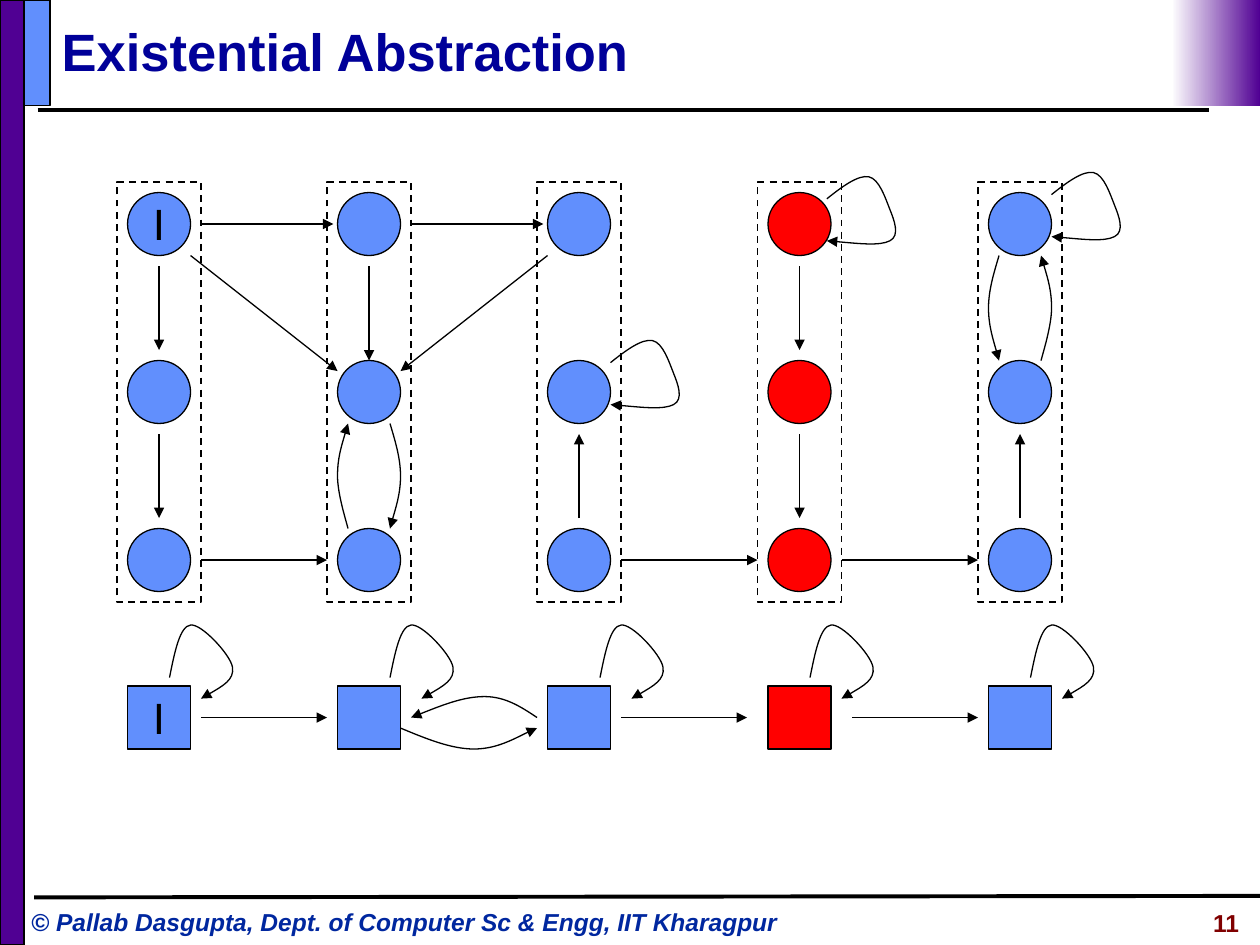
from dataclasses import dataclass

from lxml.etree import SubElement
from pptx import Presentation
from pptx.dml.color import RGBColor as Rgb
from pptx.enum.dml import MSO_LINE_DASH_STYLE as Dash
from pptx.enum.shapes import MSO_CONNECTOR as Connector, MSO_SHAPE as Preset
from pptx.enum.text import MSO_ANCHOR as Anchor, PP_ALIGN as Align
from pptx.oxml.ns import qn
from pptx.util import Cm, Pt


@dataclass(frozen=True)
class Theme:
    """Colours, fonts, type sizes and line widths of the slide."""
    black: Rgb = Rgb.from_string("000000")
    white: Rgb = Rgb.from_string("FFFFFF")
    purple: Rgb = Rgb.from_string("500093")
    blue: Rgb = Rgb.from_string("618FFD")
    red: Rgb = Rgb.from_string("FF0000")
    title: Rgb = Rgb.from_string("000099")
    footer: Rgb = Rgb.from_string("00279F")
    number: Rgb = Rgb.from_string("800000")
    font: str = "Arial"
    state_font: str = "Lato"
    title_size: Pt = Pt(30)
    state_size: Pt = Pt(24)
    footer_size: Pt = Pt(14)
    thin: Pt = Pt(0.75)
    edge: Pt = Pt(1)
    rule: Pt = Pt(2.25)


THEME = Theme()
UNIT = Cm(2.54) / 12
COLUMNS = (4, 24, 44, 65, 86)
ROWS = (4, 20, 36)
ABSTRACT_ROW = 51
BAD_COLUMN = 3
RADIUS = 3

STRAIGHT_ARROWS = (
    (8, 4, 20.6, 4), (28, 4, 40.6, 4), (7, 7, 21, 18), (41, 7, 27, 18),
    (4, 8, 4, 16), (4, 24, 4, 32), (24, 8, 24, 17),
    (44, 32, 44, 24), (65, 8, 65, 16), (65, 24, 65, 32), (86, 32, 86, 24),
    (8, 36, 20, 36), (48, 36, 61, 36), (69, 36, 82, 36),
    (8, 51, 20, 51), (48, 51, 60, 51), (70, 51, 82, 51),
)
BEND_RIGHT = ((0.5, 1.7), (1, 3.3), (1, 5), (1, 6.7), (0.2, 9.2), (0, 10))
BEND_LEFT = tuple((-x, y) for x, y in BEND_RIGHT)
STATE_LOOP = ((1.5, -1.2), (3, -2.3), (4, -2.1), (5, -1.9), (5.6, 0), (6, 1),
              (6.4, 2), (7, 3.5), (6, 4), (5, 4.5), (2.5, 4.2), (0, 4))
ABSTRACT_LOOP = ((0.5, -2.5), (1, -4.9), (2, -5), (3, -5.2), (5.8, -2.2),
                 (6, -1), (6.2, 0.2), (4.6, 1.1), (3, 2))
SWAP_BELOW = ((2.4, 1), (4.8, 2), (7, 2), (9.2, 2), (12, 0.4), (13, 0))
SWAP_ABOVE = ((2.5, -1), (5, -2), (7, -2), (9, -2), (10.5, -1), (12, 0))
CURVED_ARROWS = (
    (26, 23, BEND_RIGHT, "tailEnd"), (22, 23, BEND_LEFT, "headEnd"),
    (84, 7, BEND_LEFT, "tailEnd"), (88, 7, BEND_RIGHT, "headEnd"),
    (47, 17.2, STATE_LOOP, "tailEnd"), (67.6, 1.6, STATE_LOOP, "tailEnd"),
    (89, 1.2, STATE_LOOP, "tailEnd"),
    (27, 52, SWAP_BELOW, "tailEnd"), (28, 51, SWAP_ABOVE, "headEnd"),
    *((x, 47.2, ABSTRACT_LOOP, "tailEnd") for x in (5, 26, 46, 66, 87)),
)


def style_line(line, width, arrow=None):
    """Set a black line of the given width, with an arrowhead at one end if named."""
    line.color.rgb = THEME.black
    line.width = width
    if arrow:
        SubElement(line._get_or_add_ln(), qn(f"a:{arrow}"), type="triangle")


def add_box(page, preset, left, top, width, height, fill=None, edge=THEME.edge):
    """Add a preset shape with a black edge and an optional solid fill."""
    box = page.shapes.add_shape(preset, int(left), int(top), int(width), int(height))
    box.shadow.inherit = False
    if fill is None:
        box.fill.background()
    else:
        box.fill.solid()
        box.fill.fore_color.rgb = fill
    style_line(box.line, edge)
    return box


def add_straight(page, ends, width, arrow=None):
    """Add a straight connector between two points."""
    line = page.shapes.add_connector(Connector.STRAIGHT, *map(int, ends))
    SubElement(line._element.spPr, qn("a:effectLst"))
    style_line(line.line, width, arrow)


def add_curve(page, points, arrow):
    """Add an open curve through a start point and triples of Bezier points."""
    builder = page.shapes.build_freeform(*points[0])
    builder.add_line_segments(points[1:], close=False)
    curve = builder.convert_to_shape()
    curve.shadow.inherit = False
    curve.fill.background()
    style_line(curve.line, THEME.thin, arrow)
    segments = curve._element.xpath(".//a:lnTo")
    outline = segments[0].getparent()
    for start in range(0, len(segments), 3):
        bezier = SubElement(outline, qn("a:cubicBezTo"))
        for segment in segments[start:start + 3]:
            bezier.append(segment[0])
            outline.remove(segment)


def write(box, text, size, color, font=THEME.font, align=Align.LEFT, bold=True, italic=False):
    """Fill a shape with one formatted paragraph."""
    box.text_frame.text = text
    para = box.text_frame.paragraphs[0]
    para.alignment = align
    para.font.name = font
    para.font.size = size
    para.font.color.rgb = color
    para.font.bold = bold
    para.font.italic = italic


def add_header(page, left, top, width, height):
    """Place the title, the rule below it and the coloured ends."""
    add_box(page, Preset.RECTANGLE, left + Cm(0.48), top, Cm(0.53), height, THEME.blue)
    fade = add_box(page, Preset.RECTANGLE, left + width - Cm(1.78), top, Cm(1.78), height)
    fade.line.fill.background()
    fade.fill.gradient()
    fade.fill.gradient_angle = 180
    for stop, color in zip(fade.fill.gradient_stops, (THEME.purple, THEME.white)):
        stop.color.rgb = color
    rule = top + height + Cm(0.08)
    add_straight(page, (left + Cm(0.76), rule, left + width - Cm(1.02), rule), THEME.rule)
    title = page.shapes.title
    title.left, title.top = left + Cm(0.99), top + Cm(0.25)
    title.width, title.height = Cm(23.11), Cm(1.55)
    title.text_frame.vertical_anchor = Anchor.MIDDLE
    write(title, "Existential Abstraction", THEME.title_size, THEME.title)


def add_footer(page, left, top, width, height):
    """Place the rule, the copyright line and the slide number."""
    add_straight(page, (left + Cm(0.69), top + Cm(0.03), left + width, top), THEME.rule)
    credit = page.shapes.add_textbox(left + Cm(0.38), top + Cm(0.1), Cm(16.18), height)
    number = page.shapes.add_textbox(left + Cm(20.78), top + Cm(0.13), Cm(4.45), height)
    for box in (credit, number):
        box.text_frame.word_wrap = True
    write(credit, "© Pallab Dasgupta, Dept. of Computer Sc & Engg, IIT Kharagpur",
          THEME.footer_size, THEME.footer, italic=True)
    write(number, "11", THEME.footer_size, THEME.number, align=Align.RIGHT)


def add_diagram(page, left, top):
    """Place concrete states, their abstract states and the transitions."""
    def place(x, y):
        return int(left + x * UNIT), int(top + y * UNIT)

    nodes = [(Preset.OVAL, row) for row in ROWS] + [(Preset.RECTANGLE, ABSTRACT_ROW)]
    for index, column in enumerate(COLUMNS):
        fill = THEME.red if index == BAD_COLUMN else THEME.blue
        for preset, row in nodes:
            node = add_box(page, preset, *place(column - RADIUS, row - RADIUS),
                           2 * RADIUS * UNIT, 2 * RADIUS * UNIT, fill, THEME.thin)
            if index == 0 and row in (ROWS[0], ABSTRACT_ROW):
                write(node, "I", THEME.state_size, THEME.black, THEME.state_font,
                      Align.CENTER, bold=False)
                node.text_frame.word_wrap = False
                node.text_frame.vertical_anchor = Anchor.MIDDLE
    for x1, y1, x2, y2 in STRAIGHT_ARROWS:
        add_straight(page, (*place(x1, y1), *place(x2, y2)), THEME.thin, "tailEnd")
    for x, y, offsets, arrow in CURVED_ARROWS:
        points = [place(x + dx, y + dy) for dx, dy in ((0, 0), *offsets)]
        add_curve(page, points, arrow)
    for column in COLUMNS:
        frame = add_box(page, Preset.RECTANGLE, *place(column - 4, 0), 8 * UNIT, 40 * UNIT)
        frame.line.dash_style = Dash.DASH


def main():
    """Build and save the slide."""
    deck = Presentation()
    deck.slide_width, deck.slide_height = Cm(25.4), Cm(19.05)
    page = deck.slides.add_slide(deck.slide_layouts[5])
    add_box(page, Preset.RECTANGLE, 0, 0, Cm(0.48), deck.slide_height, THEME.purple)
    add_header(page, 0, 0, deck.slide_width, Cm(2.13))
    add_diagram(page, Cm(2.36), Cm(3.67))
    add_footer(page, 0, Cm(18.06), deck.slide_width, Cm(0.87))
    deck.save("out.pptx")


if __name__ == "__main__":
    main()
